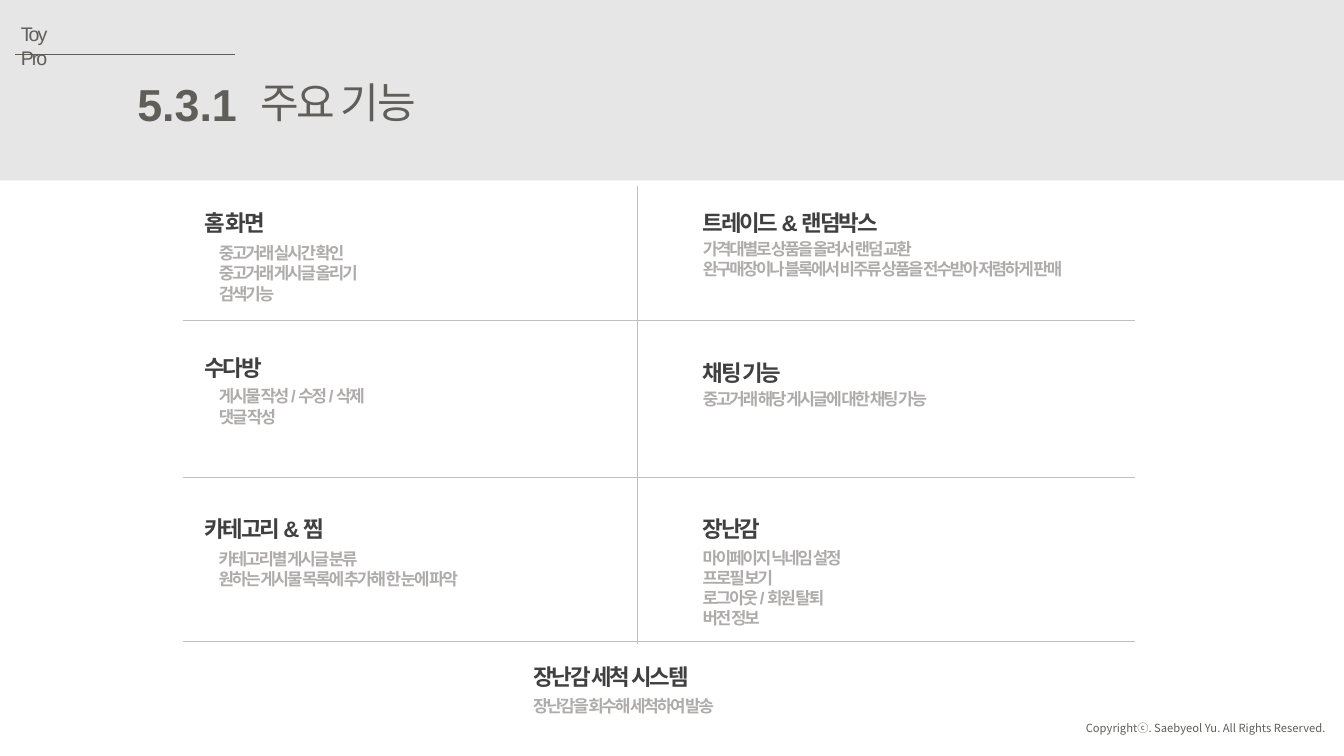
from pptx import Presentation
from pptx.dml.color import RGBColor
from pptx.enum.shapes import MSO_CONNECTOR, MSO_SHAPE
from pptx.enum.text import MSO_ANCHOR, MSO_AUTO_SIZE, PP_ALIGN
from pptx.oxml.ns import qn
from pptx.util import Inches, Pt
from lxml import etree

STRAIGHT = MSO_CONNECTOR.STRAIGHT
RECTANGLE = MSO_SHAPE.RECTANGLE
TOP = MSO_ANCHOR.TOP
NO_AUTOFIT = MSO_AUTO_SIZE.NONE
LEFT, RIGHT, JUSTIFY = PP_ALIGN.LEFT, PP_ALIGN.RIGHT, PP_ALIGN.JUSTIFY

COLORS = {
    "band": "E7E6E6",
    "ink": "5F5E58",
    "rule": "BFBFBF",
    "heading": "404040",
    "detail": "AFABAB",
}
LATIN, KOREAN = "Arial", "Noto Sans CJK KR"
FEATURE_WIDTH, HEADING_HEIGHT = 4.39, 0.37
LINE_HEIGHT, BOX_PADDING = 0.2, 0.1

FEATURES = [
    ("홈 화면", (1.93, 2.03), (2.07, 2.36),
     ["중고거래 실시간 확인", "중고거래 게시글 올리기", "검색기능"]),
    ("트레이드 & 랜덤박스", (6.87, 2.03), (6.87, 2.32),
     ["가격대별로 상품을 올려서 랜덤 교환",
      "완구매장이나 블록에서 비주류 상품을 전수받아 저렴하게 판매"]),
    ("수다방", (1.93, 3.46), (2.07, 3.78),
     ["게시물 작성 / 수정 / 삭제", "댓글 작성"]),
    ("채팅 기능", (6.87, 3.51), (6.87, 3.81),
     ["중고거래 해당 게시글에 대한 채팅 가능"]),
    ("카테고리 & 찜", (1.93, 5.06), (2.07, 5.39),
     ["카테고리별 게시글 분류", "원하는 게시물 목록에 추가해 한 눈에 파악"]),
    ("장난감", (6.87, 5.06), (6.87, 5.38),
     ["마이페이지 닉네임 설정", "프로필 보기", "로그아웃 / 회원 탈퇴", "버전 정보"]),
    ("장난감 세척 시스템", (5.19, 6.53), (5.19, 6.85),
     ["장난감을 회수해 세척하여 발송"]),
]


def color(name):
    return RGBColor.from_string(COLORS[name])


def add_text(slide, lines, left, top, width, height, *, size, ink="ink", font=LATIN,
             bold=False, spacing=0, align=LEFT, wrap=True, margin_right=0.1,
             placeholder=None):
    box = [Inches(value) for value in (left, top, width, height)]
    shape = placeholder or slide.shapes.add_textbox(*box)
    shape.left, shape.top, shape.width, shape.height = box
    frame = shape.text_frame
    frame.text = "\n".join(lines)
    frame.auto_size = NO_AUTOFIT
    frame.word_wrap = wrap
    frame.vertical_anchor = TOP
    frame.margin_left, frame.margin_right = Inches(0.1), Inches(margin_right)
    frame.margin_top = frame.margin_bottom = Inches(0.05)
    for paragraph in frame.paragraphs:
        paragraph.alignment = align
        paragraph.space_before = paragraph.space_after = Pt(0)
        paragraph.line_spacing = 1.0
        if placeholder:
            properties = paragraph._p.get_or_add_pPr()
            properties.set("marL", "0")
            properties.set("indent", "0")
            etree.SubElement(properties, qn("a:buNone"))
        for run in paragraph.runs:
            run.font.size = Pt(size)
            run.font.bold = bold
            run.font.name = font
            run.font.color.rgb = color(ink)
            properties = run._r.get_or_add_rPr()
            properties.set("spc", str(round(spacing * 100)))
            etree.SubElement(properties, qn("a:ea")).set("typeface", KOREAN)


def add_rule(slide, x1, y1, x2, y2, ink="rule"):
    ends = [Inches(value) for value in (x1, y1, x2, y2)]
    connector = slide.shapes.add_connector(STRAIGHT, *ends)
    connector.line.color.rgb = color(ink)
    connector.line.width = Pt(0.5)
    etree.SubElement(connector._element.spPr, qn("a:effectLst"))


def add_header(slide, slide_width):
    band = slide.shapes.add_shape(RECTANGLE, 0, 0, slide_width, Inches(1.79))
    band.shadow.inherit = False
    band.fill.solid()
    band.fill.fore_color.rgb = color("band")
    band.line.fill.background()
    band._element.getparent().insert(2, band._element)
    add_rule(slide, 0.15, 0.54, 2.33, 0.54, "ink")
    add_text(slide, ["Toy Pro"], 0.11, 0.17, 0.72, 0.34, size=14, spacing=-1.5,
             margin_right=0.2)
    add_text(slide, ["5.3.1"], 1.25, 0.71, 1.2, 0.64, size=32, bold=True,
             align=RIGHT, wrap=False)
    add_text(slide, ["주요 기능"], 2.48, 0.71, 1.93, 0.61, size=30, font=KOREAN,
             spacing=-1.5, wrap=False, placeholder=slide.shapes.title)


def add_feature(slide, heading, heading_at, details_at, details, placeholder):
    add_text(slide, [heading], *heading_at, FEATURE_WIDTH, HEADING_HEIGHT, size=16,
             ink="heading", bold=True, spacing=-1.5, align=JUSTIFY)
    height = BOX_PADDING + LINE_HEIGHT * len(details)
    add_text(slide, details, *details_at, FEATURE_WIDTH, height, size=12,
             ink="detail", bold=True, spacing=-1.5, align=JUSTIFY,
             placeholder=placeholder)


def main():
    presentation = Presentation()
    presentation.slide_width, presentation.slide_height = Inches(13.33), Inches(7.5)
    comparison_layout = presentation.slide_layouts[4]
    slide = presentation.slides.add_slide(comparison_layout)
    bodies = iter([shape for shape in slide.placeholders
                   if 1 <= shape.placeholder_format.idx <= 4])

    add_header(slide, presentation.slide_width)
    add_rule(slide, 6.32, 1.85, 6.32, 6.39)
    for y in (3.18, 4.74, 6.36):
        add_rule(slide, 1.82, y, 11.26, y)
    for feature in FEATURES:
        add_feature(slide, *feature, next(bodies, None))
    add_text(slide, ["Copyrightⓒ. Saebyeol Yu. All Rights Reserved."],
             10.62, 7.11, 2.63, 0.24, size=8, font=KOREAN, align=RIGHT, wrap=False)
    presentation.save("out.pptx")


if __name__ == "__main__":
    main()
